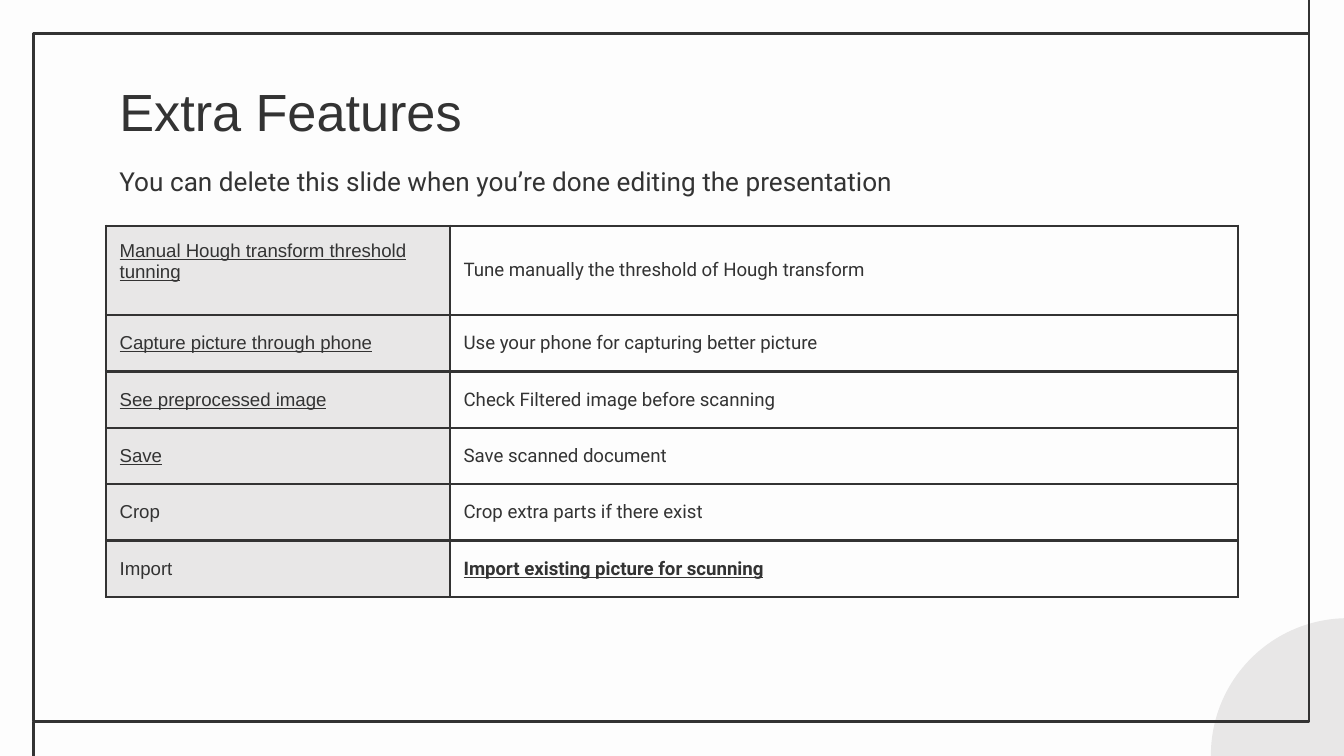
"""Build the Extra Features slide with its framed two-column table."""
from dataclasses import dataclass

from lxml.etree import SubElement
from pptx import Presentation
from pptx.dml.color import RGBColor
from pptx.enum.shapes import MSO_CONNECTOR, MSO_SHAPE
from pptx.enum.text import MSO_ANCHOR
from pptx.oxml.ns import qn
from pptx.util import Inches, Pt

TITLE = "Extra Features"
SUBTITLE = "You can delete this slide when you’re done editing the presentation"
FEATURES = [
    ("Manual Hough transform threshold tunning", "Tune manually the threshold of Hough transform"),
    ("Capture picture through phone", "Use your phone for capturing better picture"),
    ("See preprocessed image", "Check Filtered image before scanning"),
    ("Save", "Save scanned document"),
    ("Crop", "Crop extra parts if there exist"),
    ("Import", "Import existing picture for scunning"),
]
UNDERLINED_NAMES = 4
SLIDE_WIDTH = 10
SLIDE_HEIGHT = SLIDE_WIDTH * 9 / 16
LEFT, WIDTH = 0.79, 8.43
COLUMN_WIDTHS = (2.56, 5.86)
ROW_HEIGHT = 0.42
FRAME = (0.25, 0.25, 9.49, 5.12)


@dataclass(frozen=True)
class Theme:
    ink: str = "333333"
    paper: str = "FDFDFD"
    shade: str = "E8E7E7"
    heading_font: str = "Arial"
    body_font: str = "Roboto"
    title_size: int = 28
    subtitle_size: int = 14
    table_size: int = 10
    line_width: float = 1.5


THEME = Theme()


def color(value):
    return RGBColor.from_string(value)


def write(frame, text, font, size, underline=False, bold=False):
    span = frame.paragraphs[0].add_run()
    span.text = text
    span.font.name = font
    span.font.size = Pt(size)
    span.font.color.rgb = color(THEME.ink)
    span.font.underline = underline
    span.font.bold = bold


def add_text(page, top, height, text, font, size):
    box = page.shapes.add_textbox(*map(Inches, (LEFT, top, WIDTH, height)))
    frame = box.text_frame
    frame.word_wrap = True
    frame.margin_left = frame.margin_right = Inches(0.1)
    frame.margin_top = frame.margin_bottom = Inches(0.1)
    write(frame, text, font, size)


def add_shape(page, kind, area, fill=None):
    shape = page.shapes.add_shape(kind, *map(Inches, area))
    shape.shadow.inherit = False
    if fill:
        shape.fill.solid()
        shape.fill.fore_color.rgb = color(fill)
        shape.line.fill.background()
    else:
        shape.fill.background()
        shape.line.color.rgb = color(THEME.ink)
        shape.line.width = Pt(THEME.line_width)


def add_vertical(page, x, start, end):
    line = page.shapes.add_connector(MSO_CONNECTOR.STRAIGHT, *map(Inches, (x, start, x, end)))
    line.line.color.rgb = color(THEME.ink)
    line.line.width = Pt(THEME.line_width)
    SubElement(line._element.spPr, qn("a:effectLst"))


def add_borders(cell):
    properties = cell._tc.get_or_add_tcPr()
    for position, side in enumerate(("lnL", "lnR", "lnT", "lnB")):
        border = properties.makeelement(qn(f"a:{side}"), {"w": str(Pt(THEME.line_width))})
        fill = SubElement(border, qn("a:solidFill"))
        SubElement(fill, qn("a:srgbClr"), val=THEME.ink)
        properties.insert(position, border)


def add_features(page):
    area = map(Inches, (LEFT, 1.68, WIDTH, ROW_HEIGHT * len(FEATURES)))
    table = page.shapes.add_table(len(FEATURES), len(COLUMN_WIDTHS), *area).table
    table.first_row = table.horz_banding = False
    for column, width in zip(table.columns, COLUMN_WIDTHS):
        column.width = Inches(width)
    for index, feature in enumerate(FEATURES):
        last = index == len(FEATURES) - 1
        for side, text in enumerate(feature):
            cell = table.cell(index, side)
            cell.vertical_anchor = MSO_ANCHOR.MIDDLE
            cell.margin_left = cell.margin_right = Inches(0.1)
            cell.margin_top = cell.margin_bottom = Inches(0.1)
            if side == 0:
                cell.fill.solid()
                cell.fill.fore_color.rgb = color(THEME.shade)
                write(cell.text_frame, text, THEME.heading_font, THEME.table_size,
                      underline=index < UNDERLINED_NAMES)
            else:
                cell.fill.background()
                write(cell.text_frame, text, THEME.body_font, THEME.table_size,
                      underline=last, bold=last)
            add_borders(cell)
    table.cell(0, 0).margin_bottom = Inches(0.23)


def main():
    deck = Presentation()
    deck.slide_width, deck.slide_height = Inches(SLIDE_WIDTH), Inches(SLIDE_HEIGHT)
    page = deck.slides.add_slide(deck.slide_layouts[6])
    page.background.fill.solid()
    page.background.fill.fore_color.rgb = color(THEME.paper)
    left, top, width, height = FRAME
    add_shape(page, MSO_SHAPE.OVAL, (9.01, 4.6, 2.04, 2.04), THEME.shade)
    add_vertical(page, left + width, top, -0.05)
    add_vertical(page, left, 5.69, top + height)
    add_shape(page, MSO_SHAPE.RECTANGLE, FRAME)
    add_text(page, 0.49, 0.63, TITLE, THEME.heading_font, THEME.title_size)
    add_text(page, 1.13, 0.55, SUBTITLE, THEME.body_font, THEME.subtitle_size)
    add_features(page)
    deck.save("out.pptx")


if __name__ == "__main__":
    main()
